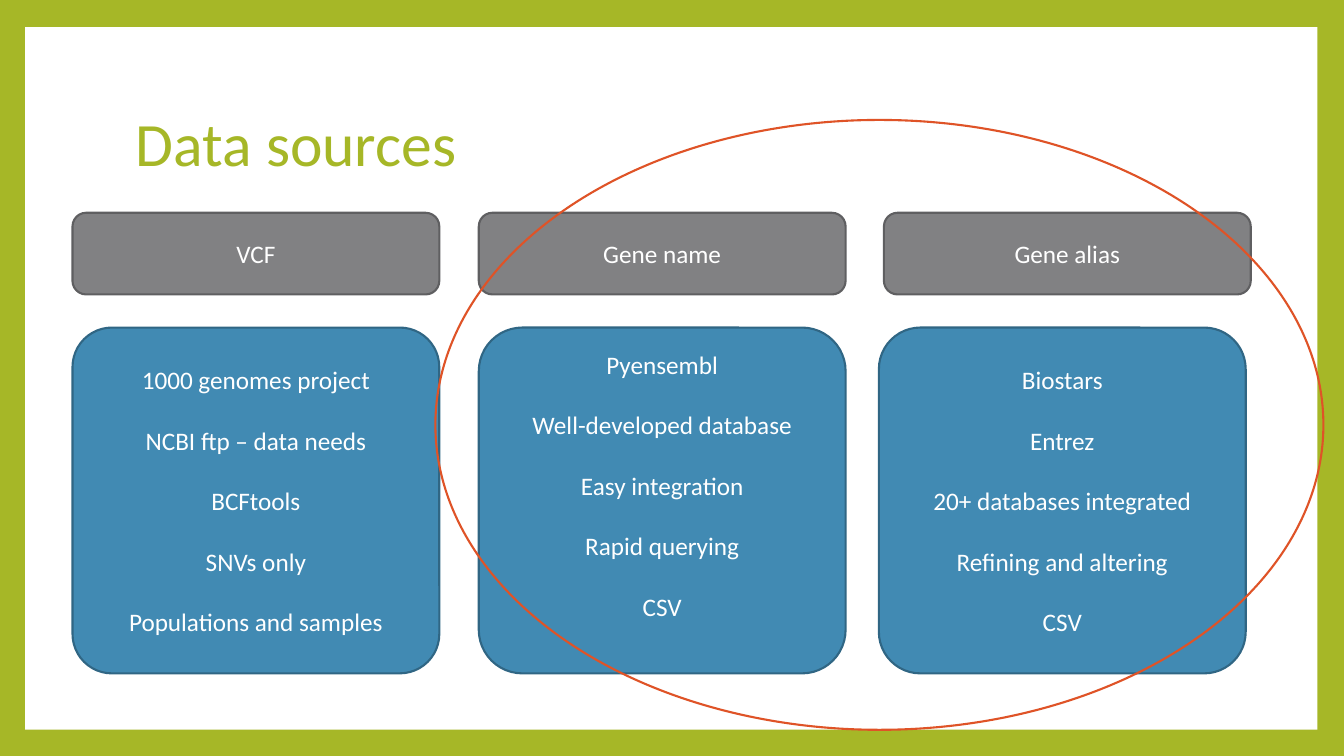
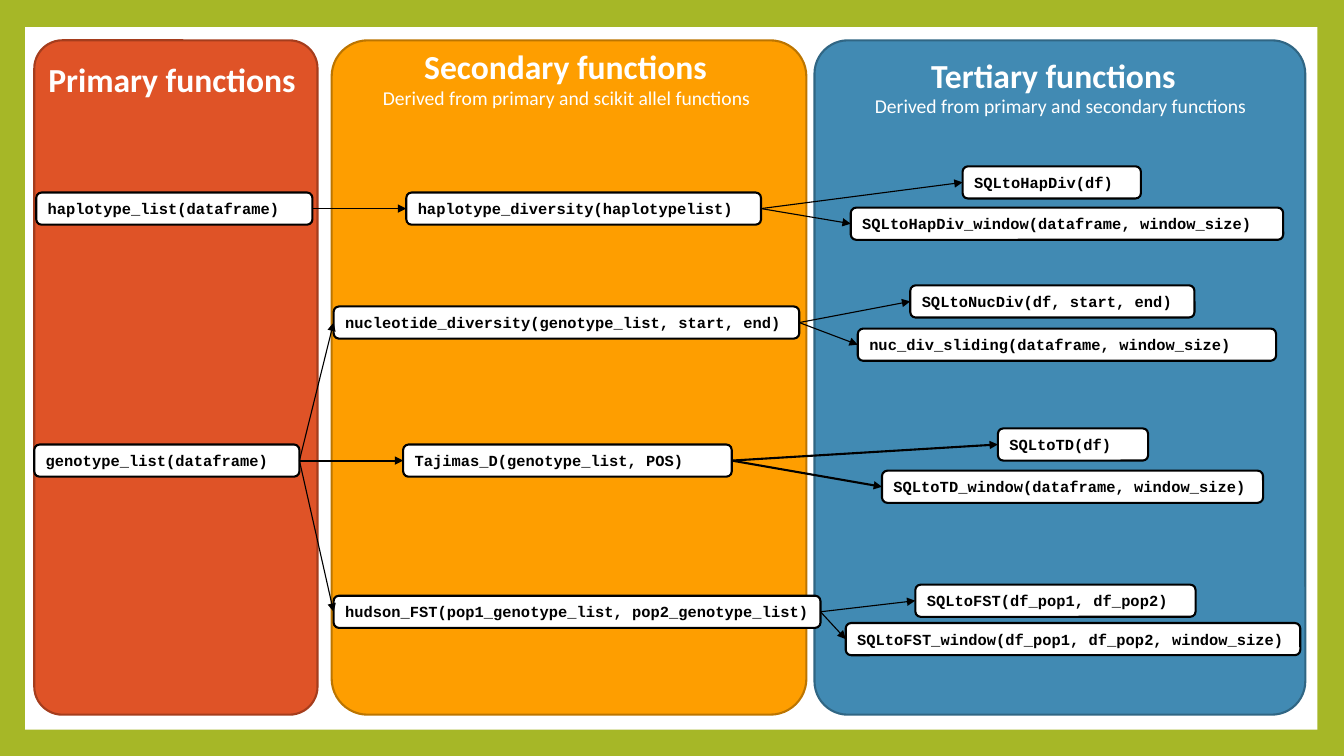
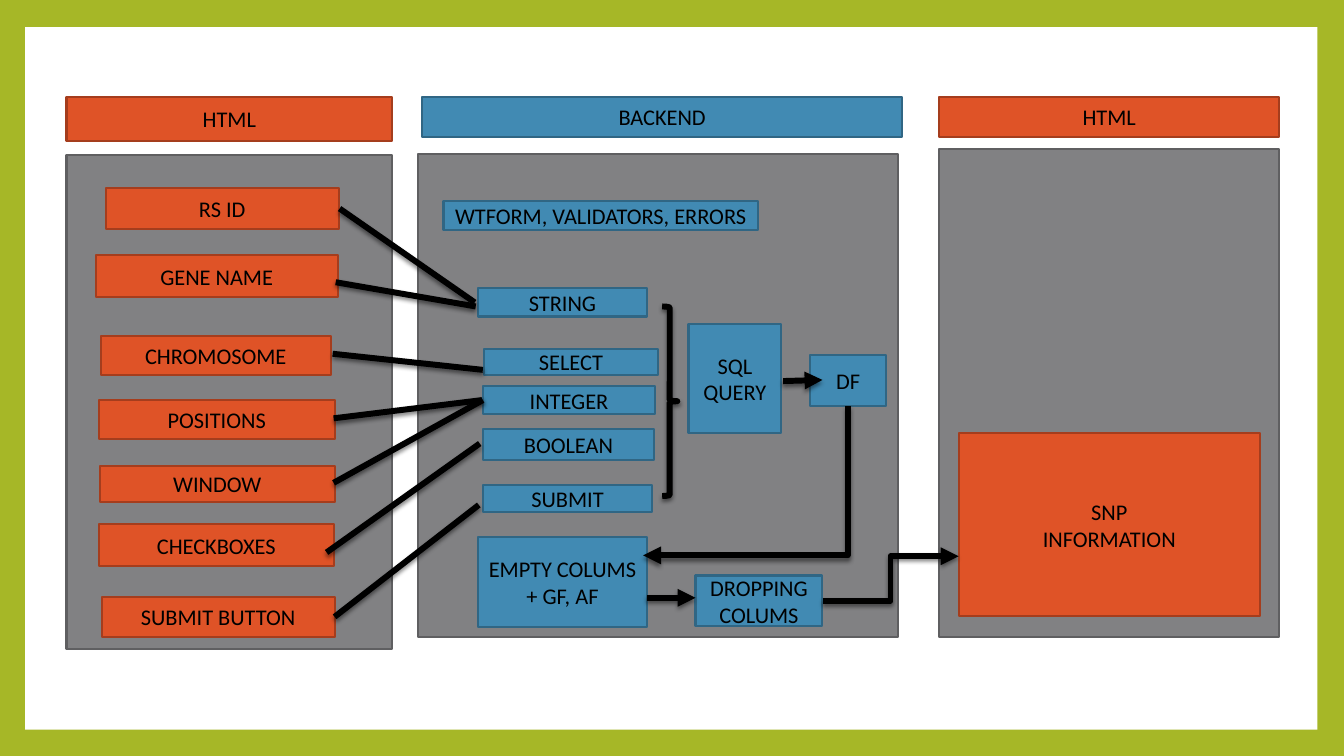
from pptx import Presentation
from pptx.dml.color import RGBColor
from pptx.enum.shapes import MSO_CONNECTOR as Link, MSO_SHAPE as Shape
from pptx.enum.text import MSO_ANCHOR as Anchor, PP_ALIGN as Align
from pptx.oxml.ns import qn
from pptx.util import Pt
from lxml.etree import SubElement

LIME = RGBColor(0xA6, 0xB7, 0x27)
WHITE = RGBColor(0xFF, 0xFF, 0xFF)
BLACK = RGBColor(0x00, 0x00, 0x00)
GREY = RGBColor(0x81, 0x81, 0x83)
DARK_GREY = RGBColor(0x5F, 0x5F, 0x61)
BLUE = RGBColor(0x41, 0x8A, 0xB3)
DARK_BLUE = RGBColor(0x30, 0x66, 0x84)
ORANGE = RGBColor(0xFE, 0x9E, 0x00)
DARK_ORANGE = RGBColor(0xBC, 0x75, 0x00)
RED = RGBColor(0xDF, 0x53, 0x27)
DARK_RED = RGBColor(0xA5, 0x3D, 0x1D)
EDGES = {GREY: DARK_GREY, BLUE: DARK_BLUE, ORANGE: DARK_ORANGE, RED: DARK_RED, WHITE: BLACK}

SOURCES = [
    ("VCF", 51.8, 51.8, 0.114, 0,
     ["1000 genomes project", "NCBI ftp – data needs", "BCFtools", "SNVs only",
      "Populations and samples"]),
    ("Gene name", 342, 342, 0.126, 22,
     ["Pyensembl", "Well-developed database", "Easy integration", "Rapid querying", "CSV"]),
    ("Gene alias", 631.4, 627.8, 0.12, 0,
     ["Biostars", "Entrez", "20+ databases integrated", "Refining and altering", "CSV"]),
]

FUNCTION_PANELS = [
    (581.8, 350.6, BLUE, 0.068), (236.9, 339.1, ORANGE, 0.076), (24.5, 202.3, RED, 0.099)]
FUNCTION_HEADINGS = [
    ("Primary functions", 27.4, 38.2, 248.4, 24, True),
    ("Secondary functions", 295.9, 29.5, 235.4, 24, True),
    ("Tertiary functions", 658.1, 35.3, 229.7, 24, True),
    ("Derived from primary and scikit allel functions", 266.4, 59, 291.6, 14, False),
    ("Derived from primary and secondary functions", 617.8, 64.8, 284.4, 14, False),
]
CALLS = [
    (("haplotype_list(dataframe)", 25.9, 137.5, 197.3), [
        (("haplotype_diversity(haplotypelist)", 290.2, 137.5, 253.4), 0.79, [
            ("SQLtoHapDiv(df)", 687.6, 118.8, 127.4),
            ("SQLtoHapDiv_window(dataframe, window_size)", 607.7, 148.3, 308.9)])]),
    (("genotype_list(dataframe)", 24.5, 317.5, 189.4), [
        (("nucleotide_diversity(genotype_list, start, end)", 238.3, 218.9, 332.6), 0.79, [
            ("SQLtoNucDiv(df, start, end)", 650.2, 203.8, 203),
            ("nuc_div_sliding(dataframe, window_size)", 612.7, 234.7, 298.8)]),
        (("Tajimas_D(genotype_list, POS)", 288, 317.5, 234.7), 1.5, [
            ("SQLtoTD(df)", 712.8, 306, 107.3),
            ("SQLtoTD_window(dataframe, window_size)", 630, 336.2, 272.2)]),
        (("hudson_FST(pop1_genotype_list, pop2_genotype_list)", 238.3, 425.5, 347.8), 0.79, [
            ("SQLtoFST(df_pop1, df_pop2)", 653.8, 417.6, 200.2),
            ("SQLtoFST_window(df_pop1, df_pop2, window_size)", 604.1, 445, 324.7)])]),
]

FLOW_PANELS = [(47.5, 110.9, 232.6, 352.8), (298.8, 110.2, 342.7, 344.9),
               (671, 106.6, 242.6, 348.5)]
FLOW_BOXES = {
    RED: [
        ("HTML", 47.5, 69.1, 232.6, 31.7), ("HTML", 671, 69.1, 242.6, 28.8),
        ("RS ID", 75.6, 134.6, 166.3, 28.8), ("GENE NAME", 68.4, 182.2, 172.8, 30.2),
        ("CHROMOSOME", 72, 239.8, 164.2, 28.1), ("POSITIONS", 70.6, 285.8, 168.5, 28.1),
        ("WINDOW", 71.3, 332.6, 167.8, 25.9), ("CHECKBOXES", 70.6, 374.4, 167.8, 30.2),
        ("SUBMIT BUTTON", 72.7, 426.2, 166.3, 28.8),
        ("SNP\nINFORMATION", 684.7, 309.6, 215.3, 130.3)],
    BLUE: [
        ("BACKEND", 301.7, 69.1, 342.7, 28.8),
        ("WTFORM, VALIDATORS, ERRORS", 316.8, 143.3, 224.6, 20.9),
        ("STRING", 341.3, 205.9, 121, 20.2), ("SELECT", 345.6, 249.1, 124.6, 18.7),
        ("INTEGER", 344.9, 275.8, 123.1, 20.2), ("BOOLEAN", 344.9, 306.7, 122.4, 21.6),
        ("SUBMIT", 344.9, 346.3, 121, 19.4), ("SQL\nQUERY", 491.8, 231.1, 66.2, 78.5),
        ("DF", 578.9, 253.4, 54, 36.7), ("EMPTY COLUMS\n+ GF, AF", 341.3, 383.8, 121, 64.1),
        ("DROPPING COLUMS", 496.8, 411.1, 90.7, 36)],
}
FIELD_LINES = [
    (242.6, 149, 339.1, 216), (239.8, 201.6, 339.8, 218.9), (237.6, 252.7, 344.9, 264.2),
    (238.3, 298.8, 344.2, 285.8), (238.3, 344.9, 344.9, 285.8), (233.3, 394.6, 342.7, 316.8),
    (239, 440.6, 342, 360.7)]
FLOW_ARROWS = [(462.2, 427, 496.8, 427), (559.4, 272.2, 587.5, 271.4)]


class Painter:
    """Draws styled elements on the current slide, with lengths in points."""

    def __init__(self):
        self.deck = Presentation()
        self.deck.slide_width, self.deck.slide_height = Pt(960), Pt(540)
        self.page = None

    def new_page(self):
        self.page = self.deck.slides.add_slide(self.deck.slide_layouts[6])
        self.page.background.fill.solid()
        self.page.background.fill.fore_color.rgb = LIME
        self.shape(Shape.RECTANGLE, 18, 19.4, 923, 501.8, WHITE)

    def shape(self, kind, left, top, width, height, fill=None, edge=None, weight=1.5, radius=None):
        shape = self.page.shapes.add_shape(kind, Pt(left), Pt(top), Pt(width), Pt(height))
        shape.shadow.inherit = False
        if fill is None:
            shape.fill.background()
        else:
            shape.fill.solid()
            shape.fill.fore_color.rgb = fill
        if edge is None:
            shape.line.fill.background()
        else:
            shape.line.color.rgb = edge
            shape.line.width = Pt(weight)
        if radius is not None:
            shape.adjustments[0] = radius
        return shape

    def panel(self, kind, left, top, width, height, fill, radius=None):
        return self.shape(kind, left, top, width, height, fill, EDGES[fill], radius=radius)

    def add_text(self, box, lines, size, color, font="Calibri", bold=False, align=Align.CENTER,
                 gap=0):
        frame = box.text_frame
        frame.word_wrap = True
        for index, line in enumerate(lines):
            para = frame.add_paragraph() if index else frame.paragraphs[0]
            para.alignment = align
            para.space_before = Pt(gap if index else 0)
            for number, part in enumerate(line.split("\n")):
                if number:
                    para.add_line_break()
                span = para.add_run()
                span.text = part
                span.font.name, span.font.size, span.font.bold = font, Pt(size), bold
                span.font.color.rgb = color
        return frame

    def label(self, text, left, top, width, height, size, color=WHITE, bold=False):
        box = self.page.shapes.add_textbox(Pt(left), Pt(top), Pt(width), Pt(height))
        frame = self.add_text(box, [text], size, color, bold=bold, align=Align.LEFT)
        frame.vertical_anchor = Anchor.MIDDLE

    def flow_box(self, text, left, top, width, height, fill):
        box = self.panel(Shape.RECTANGLE, left, top, width, height, fill)
        frame = self.add_text(box, [text], 16, BLACK)
        frame.margin_left = frame.margin_right = frame.margin_top = frame.margin_bottom = 0

    def chip(self, text, left, top, width):
        box = self.panel(Shape.ROUNDED_RECTANGLE, left, top, width, 23, WHITE)
        frame = self.add_text(box, [text], 11, BLACK, "Courier New", True, Align.LEFT)
        frame.margin_right = 0
        return box

    def connector(self, start_x, start_y, end_x, end_y, weight=4.25, arrow=True, kind=Link.STRAIGHT):
        link = self.page.shapes.add_connector(kind, Pt(start_x), Pt(start_y), Pt(end_x), Pt(end_y))
        link.line.color.rgb = BLACK
        link.line.width = Pt(weight)
        properties = link._element.spPr
        if arrow:
            SubElement(properties.find(qn("a:ln")), qn("a:tailEnd"), type="triangle")
        SubElement(properties, qn("a:effectLst"))
        return link

    def call_arrow(self, source, target, weight):
        link = self.connector(0, 0, 1, 1, weight)
        link.begin_connect(source, 3)
        link.end_connect(target, 1)

    def down_left_arrow(self, start_x, start_y, end_x, end_y):
        across, down = start_x - end_x, end_y - start_y
        left = (start_x + end_x - down) / 2
        top = (start_y + end_y - across) / 2
        link = self.connector(left, top, left + down, top + across, kind=Link.ELBOW)
        properties = link._element.spPr
        properties.find(qn("a:xfrm")).set("rot", "5400000")
        properties.find(qn("a:prstGeom")).set("prst", "bentConnector2")
        return link

    def cast_shadow(self, item):
        effects = item._element.spPr.find(qn("a:effectLst"))
        shadow = SubElement(effects, qn("a:outerShdw"), blurRad=str(Pt(3)), dist=str(Pt(2)),
                            dir="5400000", rotWithShape="0")
        color = SubElement(shadow, qn("a:srgbClr"), val=str(BLACK))
        SubElement(color, qn("a:alpha"), val="45000")


def draw_sources(painter):
    painter.new_page()
    painter.label("Data sources", 90, 48.2, 777.6, 106.6, 44, LIME)
    for heading, head_left, body_left, radius, lift, lines in SOURCES:
        head = painter.panel(Shape.ROUNDED_RECTANGLE, head_left, 152, 262, 58.3, GREY)
        painter.add_text(head, [heading], 18, WHITE)
        body = painter.panel(Shape.ROUNDED_RECTANGLE, body_left, 234, 262, 247, BLUE, radius)
        frame = painter.add_text(body, lines, 18, WHITE, gap=21.6)
        frame.margin_bottom = Pt(3.6 + lift)
    painter.shape(Shape.OVAL, 311, 85.7, 634.3, 435.6, edge=RED)


def draw_functions(painter):
    painter.new_page()
    for left, width, fill, radius in FUNCTION_PANELS:
        painter.panel(Shape.ROUNDED_RECTANGLE, left, 28.8, width, 481.7, fill, radius)
    for primary, secondaries in CALLS:
        primary_chip = painter.chip(*primary)
        for secondary, weight, tertiaries in secondaries:
            secondary_chip = painter.chip(*secondary)
            painter.call_arrow(primary_chip, secondary_chip, weight)
            for tertiary in tertiaries:
                painter.call_arrow(secondary_chip, painter.chip(*tertiary), weight)
    for text, left, top, width, size, bold in FUNCTION_HEADINGS:
        painter.label(text, left, top, width, size * 1.5, size, bold=bold)


def draw_flow(painter):
    painter.new_page()
    for place in FLOW_PANELS:
        painter.panel(Shape.RECTANGLE, *place, GREY)
    for fill, boxes in FLOW_BOXES.items():
        for box in boxes:
            painter.flow_box(*box, fill)
    links = [painter.connector(*ends, arrow=False) for ends in FIELD_LINES]
    links += [painter.connector(*ends) for ends in FLOW_ARROWS]
    links.append(painter.shape(Shape.RIGHT_BRACE, 473, 218.9, 10.8, 135.4, edge=BLACK, weight=4.25))
    links.append(painter.down_left_arrow(605.5, 290.2, 459.4, 396.7))
    links.append(painter.connector(587.5, 429.1, 684.7, 397.4, kind=Link.ELBOW))
    for link in links:
        painter.cast_shadow(link)


def main():
    painter = Painter()
    draw_sources(painter)
    draw_functions(painter)
    draw_flow(painter)
    painter.deck.save("out.pptx")


if __name__ == "__main__":
    main()
